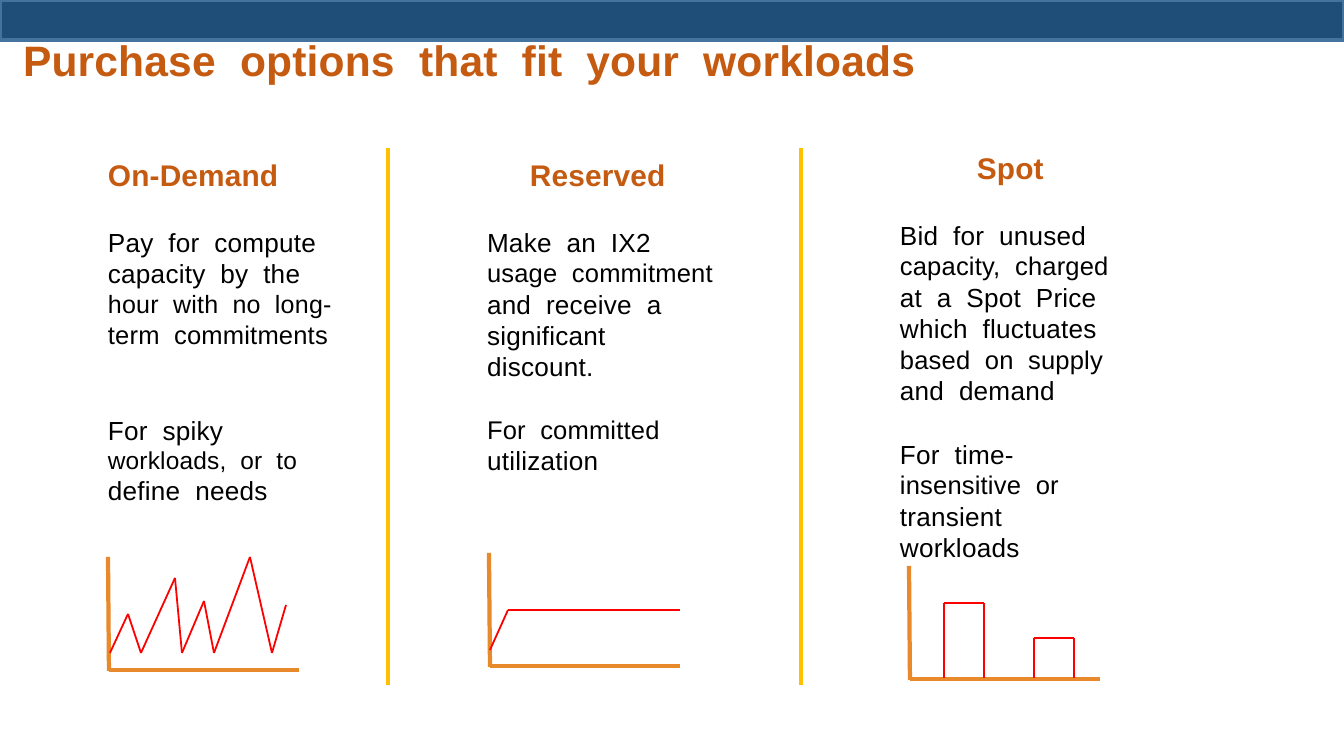
from itertools import pairwise

from lxml.etree import SubElement
from pptx import Presentation
from pptx.dml.color import RGBColor
from pptx.enum.shapes import MSO_CONNECTOR, MSO_SHAPE
from pptx.enum.text import MSO_ANCHOR, MSO_AUTO_SIZE, PP_ALIGN
from pptx.oxml.ns import qn
from pptx.util import Pt

PX = 914400 / 134.4
NAVY = RGBColor(0x1F, 0x4E, 0x79)
BLUE = RGBColor(0x43, 0x73, 0x9E)
RUST = RGBColor(0xC5, 0x5A, 0x11)
BLACK = RGBColor(0, 0, 0)
ORANGE = RGBColor(0xE8, 0x8A, 0x2B)
GOLD = RGBColor(0xFF, 0xC0, 0x00)
RED = RGBColor(0xFF, 0, 0)

TITLE = "Purchase options that fit your workloads"
# Text, left, top, width
HEADS = [
    ("On-Demand", 108, 157, 172),
    ("Reserved", 530, 157, 137),
    ("Spot", 977, 150, 67),
]
# Left, top, width, lines of (text, size)
NOTES = [
    (108, 226, 227, [("Pay for compute", 14), ("capacity by the", 14),
                     ("hour with no long-", 13.4), ("term commitments", 13.7)]),
    (108, 414, 191, [("For spiky", 14), ("workloads, or to", 13.1),
                     ("define needs", 14)]),
    (487, 226, 228, [("Make an IX2", 14), ("usage commitment", 13.7),
                     ("and receive a", 14), ("significant", 14),
                     ("discount.", 14)]),
    (487, 414, 175, [("For committed", 13.7), ("utilization", 14)]),
    (900, 219, 211, [("Bid for unused", 14), ("capacity, charged", 13.7),
                     ("at a Spot Price", 14), ("which fluctuates", 14),
                     ("based on supply", 13.7), ("and demand", 14)]),
    (900, 438, 160, [("For time-", 14), ("insensitive or", 13.7),
                     ("transient", 14), ("workloads", 14)]),
]
AXES = [(109, 670), (490, 666), (910, 679)]
SPIKES = [(110, 653), (128, 614), (141, 653), (175, 578), (182, 653),
          (204, 601), (214, 653), (250, 557), (272, 653), (286, 605)]
STEADY = [(490, 650), (508, 610), (680, 610)]
BARS = [(944, 603), (1034, 638)]


def px(*nums):
    return [round(n * PX) for n in nums]


def add_run(para, text, space):
    """Add a run with letter spacing in points."""
    run = para.add_run()
    run.text = text
    run._r.get_or_add_rPr().set("spc", str(round(space * 100)))


def write(frame, lines, color, bold=False):
    """Fill a frame with one paragraph a line, words set with double gaps."""
    frame.margin_left = frame.margin_right = 0
    frame.margin_top = frame.margin_bottom = 0
    frame.word_wrap = False
    frame.auto_size = MSO_AUTO_SIZE.NONE
    frame.vertical_anchor = MSO_ANCHOR.TOP
    for i, (text, size) in enumerate(lines):
        para = frame.add_paragraph() if i else frame.paragraphs[0]
        para.alignment = PP_ALIGN.LEFT
        para.line_spacing = Pt(1.2 * size)
        font = para.font
        font.name, font.size, font.bold = "Arial", Pt(size), bold
        font.color.rgb = color
        for j, word in enumerate(text.split()):
            if j:
                add_run(para, " ", 0.28 * size + 0.05)
            add_run(para, word, 0.1)


def add_text(slide, left, top, width, lines, color, bold=False):
    high = sum(size for _, size in lines) * 1.2 * 134.4 / 72
    box = slide.shapes.add_textbox(*px(left, top, width, high))
    write(box.text_frame, lines, color, bold)


def add_line(slide, start, end, color, width=2.28):
    line = slide.shapes.add_connector(MSO_CONNECTOR.STRAIGHT,
                                      *px(*start, *end))
    line.line.color.rgb = color
    line.line.width = Pt(width)
    SubElement(line._element.spPr, qn("a:effectLst"))


def add_curve(slide, points):
    """Join the points with thin red lines."""
    for start, end in pairwise(points):
        add_line(slide, start, end, RED, 0.96)


def add_axes(slide, x, y):
    add_line(slide, (x - 1, y - 113), (x, y + 1), ORANGE)
    add_line(slide, (x, y), (x + 190, y), ORANGE)


def add_band(slide):
    band = slide.shapes.add_shape(MSO_SHAPE.RECTANGLE, *px(0, 0, 1344, 40))
    band.shadow.inherit = False
    band.fill.solid()
    band.fill.fore_color.rgb = NAVY
    band.line.color.rgb = BLUE
    band.line.width = Pt(2)


def add_title(slide):
    title = slide.shapes.title
    title.left, title.top, title.width, title.height = px(23, 34, 900, 51)
    write(title.text_frame, [(TITLE, 22.8)], RUST, True)


def main():
    deck = Presentation()
    deck.slide_width, deck.slide_height = px(1344, 756)
    slide = deck.slides.add_slide(deck.slide_layouts[5])
    add_band(slide)
    add_title(slide)
    for text, left, top, width in HEADS:
        add_text(slide, left, top, width, [(text, 16)], RUST, True)
    for left, top, width, lines in NOTES:
        add_text(slide, left, top, width, lines, BLACK)
    for x, y in AXES:
        add_axes(slide, x, y)
    add_curve(slide, SPIKES)
    add_curve(slide, STEADY)
    for x, y in BARS:
        add_curve(slide, [(x, 678), (x, y), (x + 40, y), (x + 40, 678)])
    for x in (388, 801):
        add_line(slide, (x, 148), (x, 685), GOLD)
    deck.save("out.pptx")


if __name__ == "__main__":
    main()
